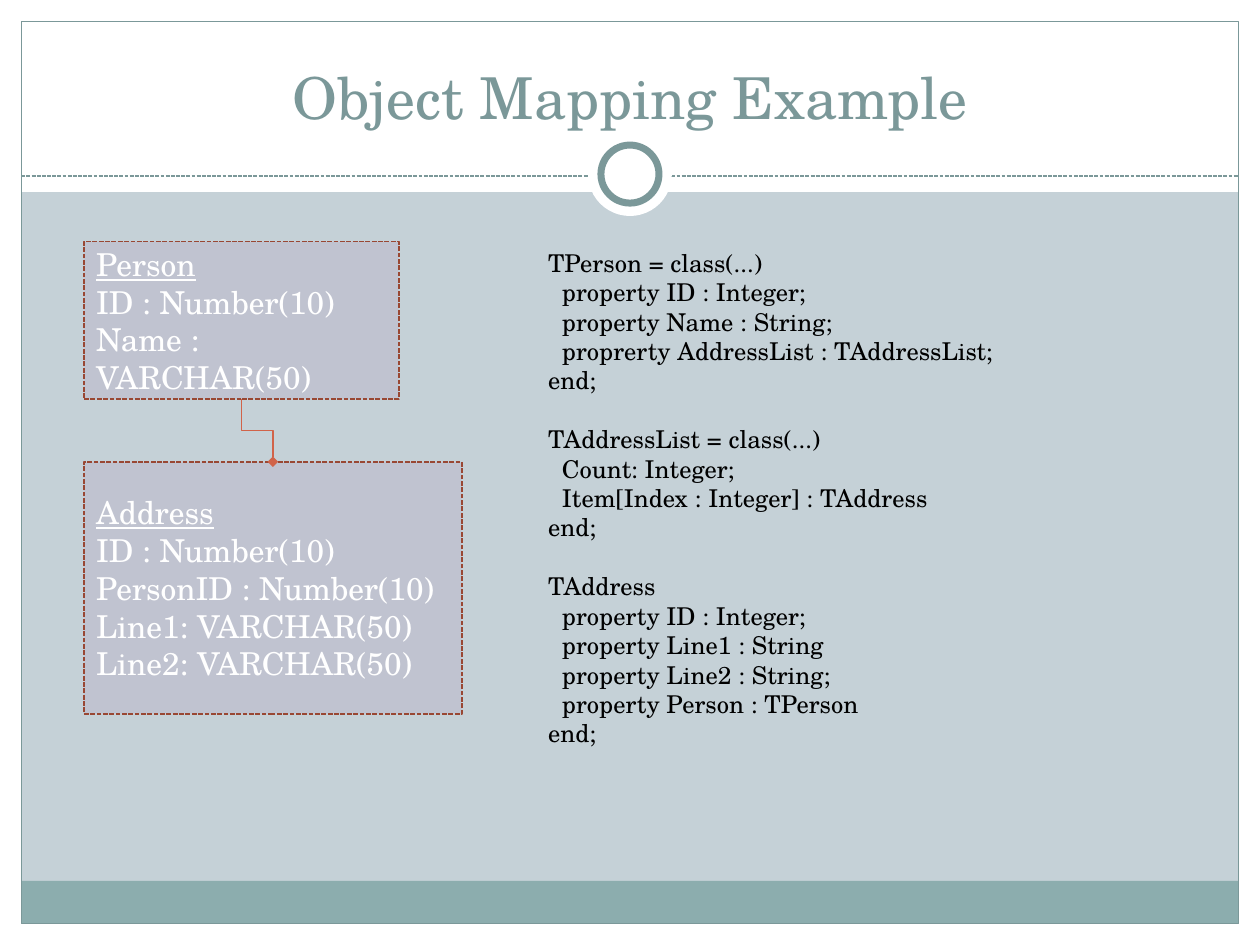
from lxml import etree
from pptx import Presentation
from pptx.dml.color import RGBColor
from pptx.enum.dml import MSO_LINE
from pptx.enum.shapes import MSO_CONNECTOR, MSO_SHAPE
from pptx.enum.text import MSO_ANCHOR, MSO_AUTO_SIZE, PP_ALIGN
from pptx.oxml.ns import qn
from pptx.util import Cm, Pt

RECT, OVAL = MSO_SHAPE.RECTANGLE, MSO_SHAPE.OVAL
STRAIGHT, ELBOW = MSO_CONNECTOR.STRAIGHT, MSO_CONNECTOR.ELBOW
DASH = MSO_LINE.SQUARE_DOT
LEFT, CENTER = PP_ALIGN.LEFT, PP_ALIGN.CENTER
TOP, MIDDLE, BOTTOM = MSO_ANCHOR.TOP, MSO_ANCHOR.MIDDLE, MSO_ANCHOR.BOTTOM
GROW = MSO_AUTO_SIZE.SHAPE_TO_FIT_TEXT

WHITE = RGBColor(0xFF, 0xFF, 0xFF)
BLACK = RGBColor(0, 0, 0)
MIST = RGBColor(0xC5, 0xD1, 0xD7)
TEAL = RGBColor(0x7B, 0x98, 0x99)
SEA = RGBColor(0x8C, 0xAD, 0xAE)
LILAC = RGBColor(0xC0, 0xC3, 0xD0)
BRICK = RGBColor(0x99, 0x47, 0x33)
CORAL = RGBColor(0xD1, 0x63, 0x49)

WIDE, HIGH, EDGE = 25.4, 19.05, 0.43
MID, RULE = WIDE / 2, 3.51

PERSON = ["Person", "ID : Number(10)", "Name : VARCHAR(50)"]
ADDRESS = ["Address", "ID : Number(10)", "PersonID : Number(10)",
           "Line1: VARCHAR(50)", "Line2: VARCHAR(50)"]
# Each class: heading, indented members, closing line
CODE = [
    ("TPerson = class(...)",
     ["property ID : Integer;", "property Name : String;",
      "proprerty AddressList : TAddressList;"]),
    ("TAddressList = class(...)",
     ["Count: Integer;", "Item[Index : Integer] : TAddress"]),
    ("TAddress",
     ["property ID : Integer;", "property Line1 : String",
      "property Line2 : String;", "property Person : TPerson"]),
]


def write(frame, text, size=18, color=WHITE, align=LEFT, under=False,
          indent=0, before=0):
    """Add one paragraph, using the first one while it is empty."""
    para = frame.paragraphs[0]
    if para.runs:
        para = frame.add_paragraph()
    para.alignment = align
    para.space_before = Pt(before)
    if indent:
        para._p.get_or_add_pPr().set("marL", str(Cm(indent)))
    run = para.add_run()
    run.text = text
    font = run.font
    font.name, font.size, font.underline = Deck.face, Pt(size), under
    font.color.rgb = color


class Deck:
    face = "TeX Gyre Schola"

    def __init__(self):
        self.file = Presentation()
        self.file.slide_width, self.file.slide_height = Cm(WIDE), Cm(HIGH)
        self.slide = self.file.slides.add_slide(self.file.slide_layouts[6])
        back = self.slide.background.fill
        back.solid()
        back.fore_color.rgb = MIST

    def shape(self, x, y, w, h, kind=RECT, fill=None, line=None, width=0.75,
              dash=None):
        item = self.slide.shapes.add_shape(kind, Cm(x), Cm(y), Cm(w), Cm(h))
        item.shadow.inherit = False
        if fill is None:
            item.fill.background()
        else:
            item.fill.solid()
            item.fill.fore_color.rgb = fill
        if line is None:
            item.line.fill.background()
        else:
            self.stroke(item, line, width, dash)
        return item

    def stroke(self, item, color, width=0.75, dash=None):
        item.line.color.rgb = color
        item.line.width = Pt(width)
        if dash:
            item.line.dash_style = dash

    def disk(self, size, **style):
        return self.shape(MID - size / 2, RULE - size / 2, size, size,
                          kind=OVAL, fill=WHITE, **style)

    def table(self, x, y, w, h, rows):
        """Box for a database table: underlined name, then its fields."""
        box = self.shape(x, y, w, h, fill=LILAC, line=BRICK, width=0.91,
                         dash=DASH)
        frame = box.text_frame
        frame.word_wrap = True
        frame.vertical_anchor = MIDDLE
        for i, row in enumerate(rows):
            write(frame, row, under=i == 0)
        return box

    def text(self, x, y, w, h, anchor=TOP):
        box = self.slide.shapes.add_textbox(Cm(x), Cm(y), Cm(w), Cm(h))
        frame = box.text_frame
        frame.word_wrap = True
        frame.vertical_anchor = anchor
        return frame

    def line(self, kind, color, x1=0, y1=0, x2=0, y2=0, dash=None):
        item = self.slide.shapes.add_connector(
            kind, Cm(x1), Cm(y1), Cm(x2), Cm(y2))
        self.stroke(item, color, dash=dash)
        etree.SubElement(item._element.spPr, qn("a:effectLst"))
        return item

    def link(self, upper, lower):
        """Elbow that leaves downwards and ends in a diamond."""
        item = self.line(ELBOW, CORAL)
        item.begin_connect(upper, 2)
        item.end_connect(lower, 0)
        dx, dy = item.end_x - item.begin_x, item.end_y - item.begin_y
        left = item.begin_x + (dx - dy) // 2
        top = item.begin_y + (dy - dx) // 2
        # A quarter turn makes the first leg vertical
        item.left, item.top, item.width, item.height = left, top, dy, dx
        frame = item._element.spPr.find(qn("a:xfrm"))
        frame.set("rot", "16200000")
        frame.set("flipH", "1")
        etree.SubElement(item.line._get_or_add_ln(), qn("a:tailEnd"),
                         type="diamond")


def main():
    deck = Deck()
    inner = WIDE - 2 * EDGE
    for area in [(0, HIGH - EDGE, WIDE, EDGE), (0, 0, WIDE, 3.87),
                 (0, 0, EDGE, HIGH), (WIDE - EDGE, 0, EDGE, HIGH)]:
        deck.shape(*area, fill=WHITE)
    deck.shape(EDGE, 17.76, inner, 0.86, fill=SEA)
    deck.shape(EDGE, EDGE, inner, HIGH - 2 * EDGE, line=TEAL)
    deck.line(STRAIGHT, TEAL, EDGE, 3.55, WIDE - EDGE, 3.55, dash=DASH)
    deck.disk(1.69)
    deck.disk(1.17, line=TEAL, width=4)

    title = deck.text(0.85, 0.64, 23.7, 2.12, anchor=BOTTOM)
    write(title, "Object Mapping Example", size=33, color=TEAL, align=CENTER)

    person = deck.table(1.69, 4.87, 6.35, 3.18, PERSON)
    address = deck.table(1.69, 9.31, 7.62, 5.08, ADDRESS)
    deck.link(person, address)

    code = deck.text(10.8, 4.87, 11.85, 10.34)
    code.auto_size = GROW
    for i, (head, members) in enumerate(CODE):
        write(code, head, size=14, color=BLACK, before=16.8 if i else 0)
        for member in members:
            write(code, member, size=14, color=BLACK, indent=0.28)
        if i < len(CODE):
            write(code, "end;", size=14, color=BLACK)

    deck.file.save("out.pptx")


if __name__ == "__main__":
    main()
